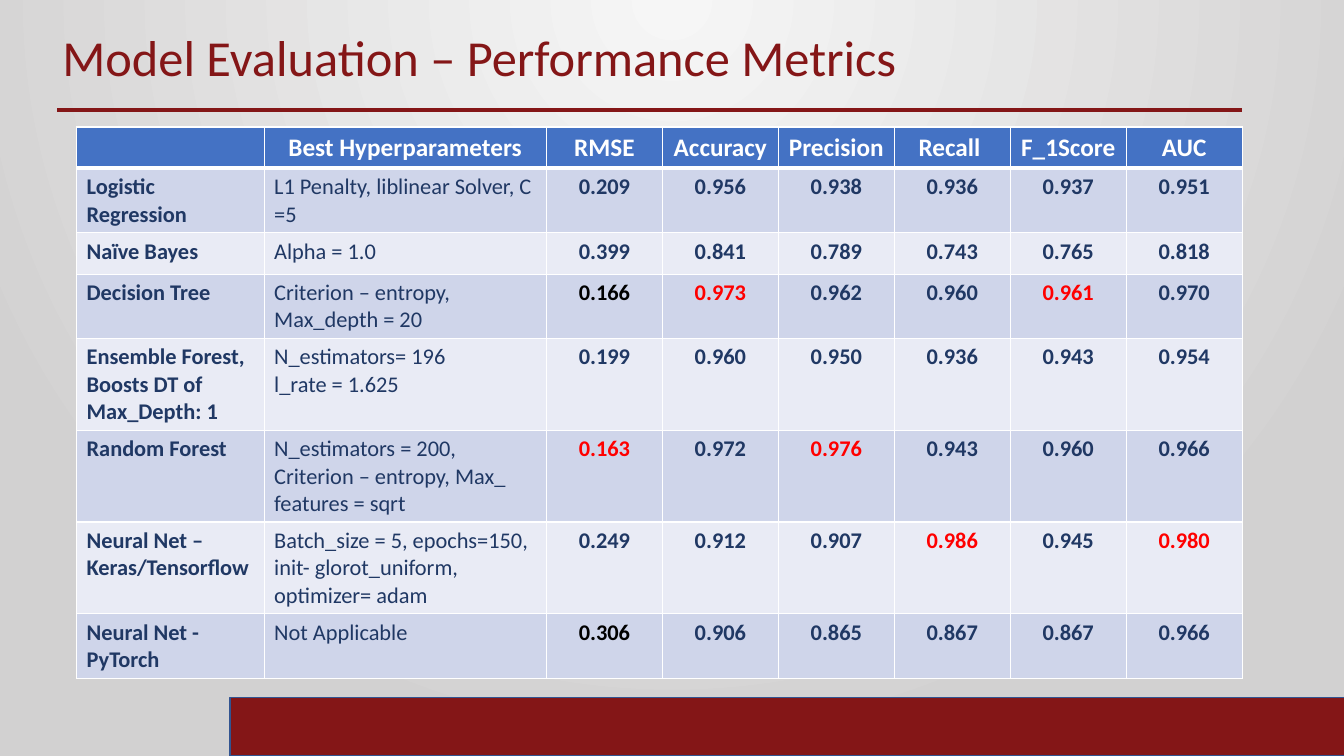
"""Build the model evaluation slide with its table of performance metrics."""
from pptx import Presentation
from pptx.dml.color import RGBColor
from pptx.enum.shapes import MSO_CONNECTOR, MSO_SHAPE
from pptx.enum.text import MSO_ANCHOR, PP_ALIGN
from pptx.oxml import parse_xml
from pptx.oxml.ns import nsdecls
from pptx.util import Inches, Pt

FONT = "Calibri"
COLORS = {
    "crimson": "841617", "footer_line": "325491", "header": "4472C4",
    "odd": "CFD5EA", "even": "E9EBF5", "white": "FFFFFF", "navy": "203864",
    "best": "FF0000", "black": "000000", "glow": "F6F6F6", "edge": "D2D1D1",
}
HEADERS = ["", "Best Hyperparameters", "RMSE", "Accuracy", "Precision",
           "Recall ", "F_1Score", "AUC"]
MODELS = [
    ("Logistic Regression", "L1 Penalty, liblinear Solver, C =5",
     "0.209", "0.956", "0.938", "0.936", "0.937", "0.951"),
    ("Naïve Bayes", "Alpha = 1.0",
     "0.399", "0.841", "0.789", "0.743", "0.765", "0.818"),
    ("Decision Tree", "Criterion – entropy, Max_depth = 20",
     "0.166", "0.973", "0.962", "0.960", "0.961", "0.970"),
    ("Ensemble Forest, Boosts DT of Max_Depth: 1",
     "N_estimators= 196\nl_rate = 1.625",
     "0.199", "0.960", "0.950", "0.936", "0.943", "0.954"),
    ("Random Forest",
     "N_estimators = 200, Criterion – entropy, Max_ features = sqrt",
     "0.163", "0.972", "0.976", "0.943", "0.960", "0.966"),
    ("Neural Net – Keras/Tensorflow",
     "Batch_size = 5, epochs=150, init- glorot_uniform, optimizer= adam",
     "0.249", "0.912", "0.907", "0.986", "0.945", "0.980"),
    ("Neural Net - PyTorch", "Not Applicable",
     "0.306", "0.906", "0.865", "0.867", "0.867", "0.966"),
]
BLACK_RMSE = {"0.166", "0.306"}
COL_WIDTHS = [1.86, 2.8] + [1.15] * 6
ROW_HEIGHTS = [0.41, 0.64, 0.41, 0.64, 0.91, 0.91, 0.91, 0.64]


def rgb(name):
    """Return the named colour."""
    return RGBColor.from_string(COLORS[name])


def set_background(slide):
    """Fill the background with a circular gradient from the top centre."""
    stops = "".join(
        f'<a:gs pos="{pos}"><a:srgbClr val="{COLORS[name]}"/></a:gs>'
        for pos, name in ((0, "glow"), (100000, "edge")))
    slide.element.cSld.insert(0, parse_xml(
        f'<p:bg {nsdecls("p", "a")}><p:bgPr><a:gradFill rotWithShape="1">'
        f'<a:gsLst>{stops}</a:gsLst><a:path path="circle">'
        '<a:fillToRect l="43000" r="43000" b="100000"/></a:path>'
        '</a:gradFill><a:effectLst/></p:bgPr></p:bg>'))


def add_footer(slide):
    """Add the crimson bar at the bottom right."""
    sp = slide.shapes.add_shape(MSO_SHAPE.RECTANGLE, Inches(2.28),
                                Inches(6.92), Inches(11.06), Inches(0.58))
    sp.shadow.inherit = False
    sp.fill.solid()
    sp.fill.fore_color.rgb = rgb("crimson")
    sp.line.color.rgb = rgb("footer_line")
    sp.line.width = Pt(1)


def add_rule(slide):
    """Add the line below the title."""
    rule = slide.shapes.add_connector(MSO_CONNECTOR.STRAIGHT, Inches(0.57),
                                      Inches(1.09), Inches(12.32), Inches(1.09))
    rule.line.color.rgb = rgb("crimson")
    rule.line.width = Pt(2.5)
    rule._element.spPr.append(parse_xml(f'<a:effectLst {nsdecls("a")}/>'))


def set_font(p, size, color, bold=False):
    """Set the font of a paragraph."""
    p.font.name = FONT
    p.font.size = Pt(size)
    p.font.bold = bold
    p.font.color.rgb = rgb(color)


def add_title(slide, text):
    """Add the slide title."""
    sp = slide.shapes.add_textbox(Inches(0.52), Inches(0.24),
                                  Inches(11.71), Inches(0.71))
    tf = sp.text_frame
    tf.word_wrap = True
    tf.vertical_anchor = MSO_ANCHOR.MIDDLE
    p = tf.paragraphs[0]
    p.text = text
    p.line_spacing = 0.9
    p.space_before = Pt(10)
    set_font(p, 36, "crimson")


def set_borders(cell, bottom):
    """Draw white borders around a cell, with the given bottom width."""
    tc_pr = cell._tc.get_or_add_tcPr()
    for i, (side, width) in enumerate(
            (("L", 1), ("R", 1), ("T", 1), ("B", bottom))):
        tc_pr.insert(i, parse_xml(
            f'<a:ln{side} {nsdecls("a")} w="{Pt(width)}"><a:solidFill>'
            f'<a:srgbClr val="{COLORS["white"]}"/></a:solidFill></a:ln{side}>'))


def fill_cell(cell, text, fill, size, color, bold, centred, bottom=1):
    """Write and style one table cell."""
    cell.fill.solid()
    cell.fill.fore_color.rgb = rgb(fill)
    set_borders(cell, bottom)
    cell.text_frame.text = text
    for p in cell.text_frame.paragraphs:
        p.alignment = PP_ALIGN.CENTER if centred else PP_ALIGN.LEFT
        set_font(p, size, color, bold)


def best_scores():
    """Return the best value per metric column: lowest RMSE, highest others."""
    columns = list(zip(*MODELS))
    return {c: (min if c == 2 else max)(columns[c])
            for c in range(2, len(columns))}


def score_color(col, text, best):
    """Choose the text colour of a body cell."""
    if best.get(col) == text:
        return "best"
    return "black" if col == 2 and text in BLACK_RMSE else "navy"


def add_metrics_table(slide):
    """Add the table of models, hyperparameters and metrics."""
    table = slide.shapes.add_table(
        len(ROW_HEIGHTS), len(COL_WIDTHS), Inches(0.76), Inches(1.26),
        Inches(sum(COL_WIDTHS)), Inches(sum(ROW_HEIGHTS))).table
    for column, width in zip(table.columns, COL_WIDTHS):
        column.width = Inches(width)
    for row, height in zip(table.rows, ROW_HEIGHTS):
        row.height = Inches(height)
    for c, text in enumerate(HEADERS):
        fill_cell(table.cell(0, c), text, "header", 18, "white", True, True, 3)
    best = best_scores()
    for r, model in enumerate(MODELS, 1):
        fill = "odd" if r % 2 else "even"
        for c, text in enumerate(model):
            fill_cell(table.cell(r, c), text, fill, 16,
                      score_color(c, text, best), c != 1, c > 1)


def main():
    """Build and save the slide."""
    prs = Presentation()
    prs.slide_width, prs.slide_height = Inches(13.33), Inches(7.5)
    slide = prs.slides.add_slide(prs.slide_layouts[6])
    set_background(slide)
    add_footer(slide)
    add_rule(slide)
    add_title(slide, "Model Evaluation – Performance Metrics")
    add_metrics_table(slide)
    prs.save("out.pptx")


if __name__ == "__main__":
    main()
